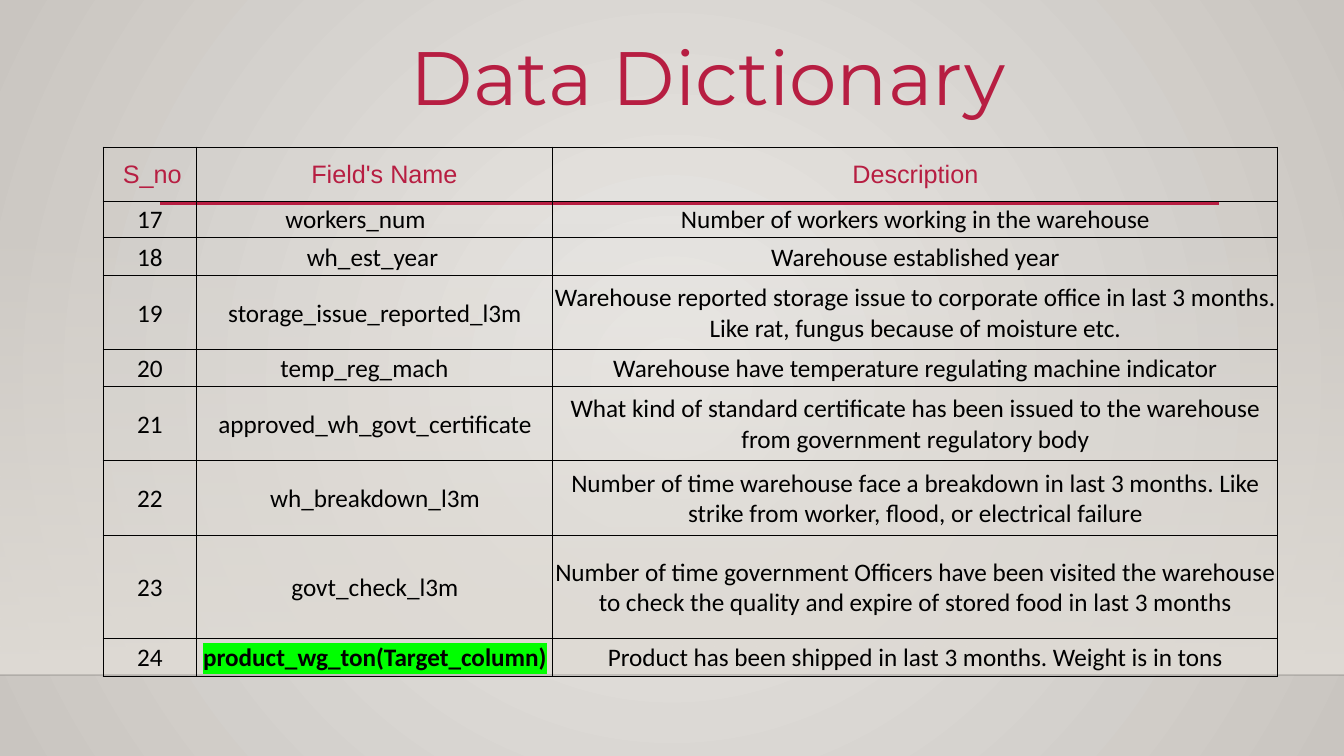
from dataclasses import dataclass

from lxml import etree
from pptx import Presentation
from pptx import util as u
from pptx.dml.color import RGBColor
from pptx.enum import shapes, text
from pptx.oxml import ns


@dataclass(frozen=True)
class Theme:
    accent: str = "B71E42"
    ink: str = "000000"
    highlight: str = "00FF00"
    wall_center: str = "EBE9E6"
    wall_edge: str = "C9C5C0"
    floor: str = "DFDBD5"
    title_font: str = "Montserrat"
    header_font: str = "Arial"
    body_font: str = "Calibri"
    title_size: int = 54
    table_size: int = 18
    border_width: float = 0.75


THEME = Theme()
EMU_PER_PX = 914400 / 100.8
WIDTH, HEIGHT = 1344, 756
HORIZON = 675
HEADERS = ("S_no", "Field's Name", "Description")
FIRST_NUMBER = 17
TARGET_FIELD = "product_wg_ton(Target_column)"
FIELDS = [
    ("workers_num", "Number of workers working in the warehouse"),
    ("wh_est_year", "Warehouse established year"),
    ("storage_issue_reported_l3m",
     "Warehouse reported storage issue to corporate office in last 3 months. "
     "Like rat, fungus because of moisture etc."),
    ("temp_reg_mach", "Warehouse have temperature regulating machine indicator"),
    ("approved_wh_govt_certificate",
     "What kind of standard certificate has been issued to the warehouse "
     "from government regulatory body"),
    ("wh_breakdown_l3m",
     "Number of time warehouse face a breakdown in last 3 months. "
     "Like strike from worker, flood, or electrical failure"),
    ("govt_check_l3m",
     "Number of time government Officers have been visited the warehouse "
     "to check the quality and expire of stored food in last 3 months"),
    (TARGET_FIELD, "Product has been shipped in last 3 months. Weight is in tons"),
]
RIGHT_INSETS = {"workers_num": 40, "wh_est_year": 6, "temp_reg_mach": 22}
COLUMN_WIDTHS = (94, 356, 725)
ROW_HEIGHTS = (54, 37, 38, 74, 37, 74, 75, 103, 38)


def px(length):
    return u.Emu(round(length * EMU_PER_PX))


def rgb(color):
    return RGBColor.from_string(color)


def add_child(parent, tag, **attributes):
    return etree.SubElement(parent, ns.qn(tag), attributes)


def set_gradient(fill, first, last):
    fill.gradient()
    for stop, color in zip(fill.gradient_stops, (first, last)):
        stop.color.rgb = rgb(color)


def paint_background(slide):
    set_gradient(slide.background.fill, THEME.wall_center, THEME.wall_edge)
    gradient = slide.element.xpath(".//p:bgPr/a:gradFill")[0]
    gradient.remove(gradient.find(ns.qn("a:lin")))
    circle = add_child(gradient, "a:path", path="circle")
    add_child(circle, "a:fillToRect", l="50000", t="50000", r="50000", b="50000")


def add_floor(slide, top, bottom):
    shape = slide.shapes.add_shape(
        shapes.MSO_SHAPE.RECTANGLE, 0, px(top), px(WIDTH), px(bottom - top))
    shape.shadow.inherit = False
    shape.line.fill.background()
    set_gradient(shape.fill, THEME.floor, THEME.floor)
    shape.fill.gradient_angle = 270
    first_color = shape.element.xpath("./p:spPr/a:gradFill//a:srgbClr")[0]
    add_child(first_color, "a:alpha", val="0")


def add_rule(slide, left, right, y, color, width, opacity=100):
    connector = slide.shapes.add_connector(
        shapes.MSO_CONNECTOR.STRAIGHT, px(left), px(y), px(right), px(y))
    connector.line.color.rgb = rgb(color)
    connector.line.width = u.Pt(width)
    if opacity < 100:
        line_color = connector.element.xpath("./p:spPr/a:ln//a:srgbClr")[0]
        add_child(line_color, "a:alpha", val=str(opacity * 1000))
    add_child(connector.element.spPr, "a:effectLst")


def format_run(run, font, size, color, bold=False):
    run.font.name = font
    run.font.size = u.Pt(size)
    run.font.bold = bold
    run.font.color.rgb = rgb(color)


def place_title(slide, wording):
    title = slide.shapes.title
    title.left, title.top, title.width, title.height = map(px, (372, 25, 672, 102))
    frame = title.text_frame
    frame.text = wording
    frame.word_wrap = True
    frame.auto_size = text.MSO_AUTO_SIZE.NONE
    frame.vertical_anchor = text.MSO_ANCHOR.TOP
    paragraph = frame.paragraphs[0]
    paragraph.alignment = text.PP_ALIGN.CENTER
    format_run(paragraph.runs[0], THEME.title_font, THEME.title_size, THEME.accent)


def set_borders(cell):
    properties = cell._tc.get_or_add_tcPr()
    for index, side in enumerate("LRTB"):
        border = etree.Element(
            ns.qn(f"a:ln{side}"), w=str(u.Pt(THEME.border_width)))
        fill = add_child(border, "a:solidFill")
        add_child(fill, "a:srgbClr", val=THEME.ink)
        properties.insert(index, border)


def highlight_run(run):
    fill = run._r.get_or_add_rPr().find(ns.qn("a:solidFill"))
    highlight = etree.Element(ns.qn("a:highlight"))
    add_child(highlight, "a:srgbClr", val=THEME.highlight)
    fill.addnext(highlight)


def fill_cell(cell, wording, font, color, left_inset=1,
              alignment=text.PP_ALIGN.CENTER):
    cell.text_frame.text = wording
    cell.vertical_anchor = text.MSO_ANCHOR.MIDDLE
    cell.margin_left, cell.margin_top = px(left_inset), px(1)
    cell.margin_right, cell.margin_bottom = px(RIGHT_INSETS.get(wording, 1)), 0
    cell.fill.background()
    set_borders(cell)
    paragraph = cell.text_frame.paragraphs[0]
    paragraph.alignment = alignment
    run = paragraph.runs[0]
    is_target = wording == TARGET_FIELD
    format_run(run, font, THEME.table_size, color, bold=is_target)
    if is_target:
        highlight_run(run)


def add_dictionary(slide, left, top):
    table = slide.shapes.add_table(
        len(ROW_HEIGHTS), len(COLUMN_WIDTHS), px(left), px(top),
        px(sum(COLUMN_WIDTHS)), px(sum(ROW_HEIGHTS))).table
    table.first_row = table.horz_banding = False
    for column, width in zip(table.columns, COLUMN_WIDTHS):
        column.width = px(width)
    for row, height in zip(table.rows, ROW_HEIGHTS):
        row.height = px(height)
    alignments = (text.PP_ALIGN.LEFT, text.PP_ALIGN.CENTER, text.PP_ALIGN.CENTER)
    for index, (wording, inset) in enumerate(zip(HEADERS, (20, 20, 1))):
        fill_cell(table.cell(0, index), wording, THEME.header_font,
                  THEME.accent, inset, alignments[index])
    for row, (field, description) in enumerate(FIELDS, start=1):
        number = str(FIRST_NUMBER + row - 1)
        for column, wording in enumerate((number, field, description)):
            fill_cell(table.cell(row, column), wording, THEME.body_font, THEME.ink)


def main():
    presentation = Presentation()
    presentation.slide_width, presentation.slide_height = px(WIDTH), px(HEIGHT)
    slide = presentation.slides.add_slide(presentation.slide_layouts[5])
    paint_background(slide)
    add_floor(slide, 223, HORIZON)
    add_rule(slide, 0, WIDTH, HORIZON, THEME.ink, 1, opacity=20)
    add_rule(slide, 160, 1219, 203, THEME.accent, 2.5)
    add_dictionary(slide, 103, 147)
    place_title(slide, "Data Dictionary")
    presentation.save("out.pptx")


if __name__ == "__main__":
    main()
